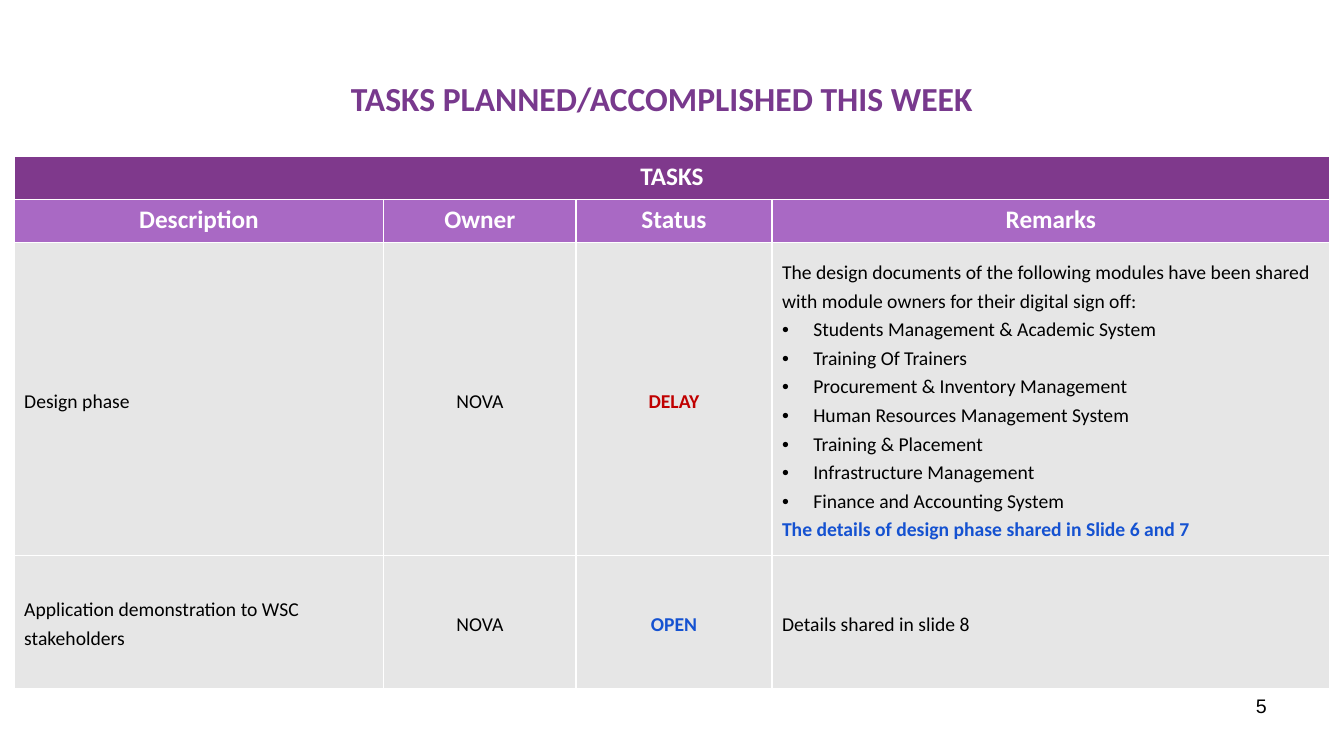
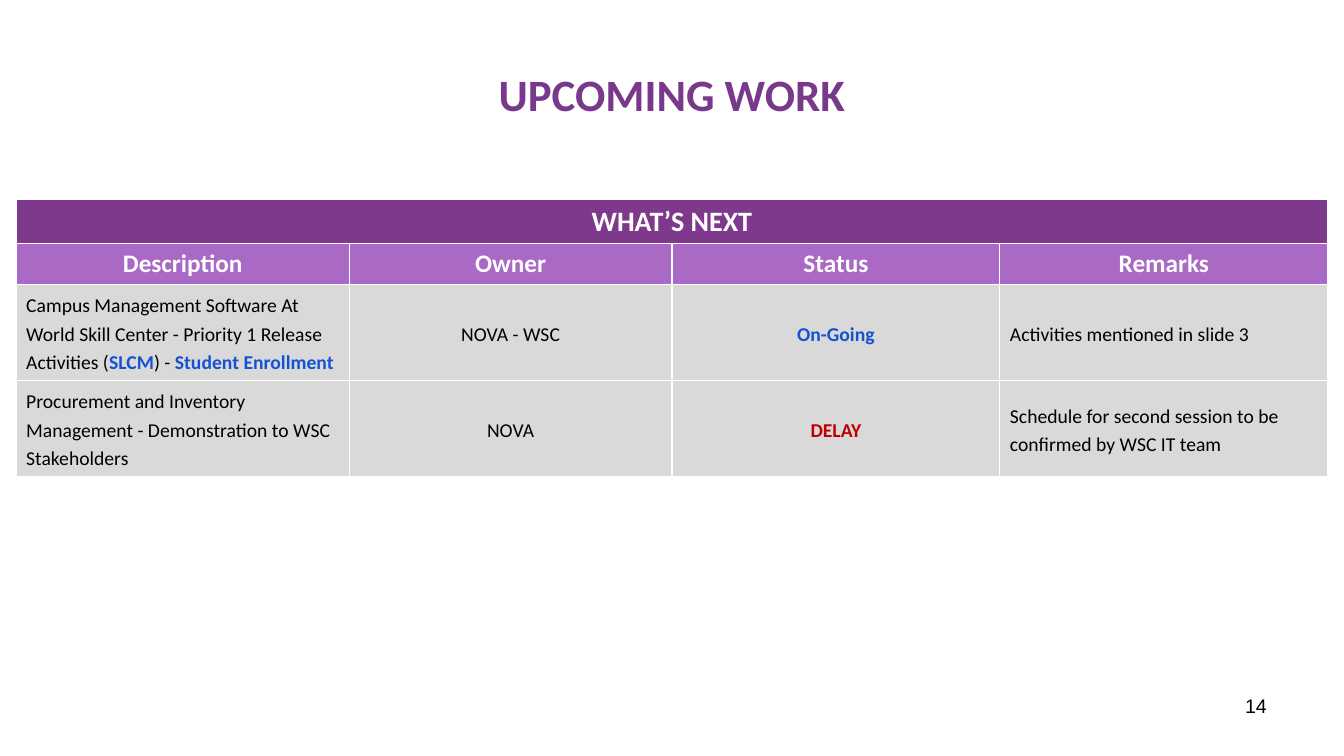
from lxml.etree import SubElement
from pptx import Presentation
from pptx.dml.color import RGBColor
from pptx.enum.text import MSO_ANCHOR, PP_ALIGN
from pptx.oxml.ns import qn
from pptx.util import Emu, Inches, Pt

WIDTH, HEIGHT = Inches(13.33), Inches(7.5)
COLORS = {
    "title": "78398D",
    "band": "7F398C",
    "heading": "A969C4",
    "white": "FFFFFF",
    "text": "000000",
    "blue": "1552D1",
    "red": "C00000",
    "light": "E6E6E6",
    "grey": "D9D9D9",
}
VENDOR = "NOVA"
HEADINGS = ["Description", "Owner", "Status", "Remarks"]
ALIGNMENTS = [PP_ALIGN.LEFT, PP_ALIGN.CENTER, PP_ALIGN.CENTER, PP_ALIGN.LEFT]
BULLET_INDENT = Inches(0.31)


def across(percent):
    return Emu(round(WIDTH * percent / 100))


def down(percent):
    return Emu(round(HEIGHT * percent / 100))


def color(name):
    return RGBColor.from_string(COLORS[name])


def add_run(paragraph, text, size, tone, bold=False, font="Calibri"):
    run = paragraph.add_run()
    run.text = text
    run.font.name = font
    run.font.size = Pt(size)
    run.font.bold = bold
    run.font.color.rgb = color(tone)


def add_label(slide, place, anchor, align, text, **style):
    left, top, width, height = place
    label = slide.shapes.add_textbox(across(left), down(top), across(width), down(height))
    frame = label.text_frame
    frame.word_wrap = True
    frame.vertical_anchor = anchor
    frame.paragraphs[0].alignment = align
    add_run(frame.paragraphs[0], text, **style)


def add_title(slide, text, size, left=5, top=4):
    add_label(slide, (left, top, 90, 16.7), MSO_ANCHOR.MIDDLE, PP_ALIGN.CENTER,
              text, size=size, tone="title", bold=True)


def add_number(slide, number):
    add_label(slide, (71.7, 91.1, 23.3, 7), MSO_ANCHOR.TOP, PP_ALIGN.RIGHT,
              str(number), size=14, tone="text", font="Arial")


def add_bullet(paragraph):
    properties = paragraph._p.get_or_add_pPr()
    properties.set("marL", str(BULLET_INDENT))
    properties.set("indent", str(-BULLET_INDENT))
    SubElement(properties, qn("a:buFont")).set("typeface", "Arial")
    SubElement(properties, qn("a:buChar")).set("char", "•")


def paint_cell(cell, fill):
    properties = cell._tc.get_or_add_tcPr()
    for side in ("lnL", "lnR", "lnT", "lnB"):
        border = SubElement(properties, qn(f"a:{side}"), w=str(Pt(1)))
        solid = SubElement(border, qn("a:solidFill"))
        SubElement(solid, qn("a:srgbClr"), val=COLORS["white"])
    cell.fill.solid()
    cell.fill.fore_color.rgb = color(fill)


def write_heading(cell, text, size):
    paragraph = cell.text_frame.paragraphs[0]
    paragraph.alignment = PP_ALIGN.CENTER
    add_run(paragraph, text, size, "white", bold=True)


def write_entry(cell, entry, align):
    cell.vertical_anchor = MSO_ANCHOR.MIDDLE
    frame = cell.text_frame
    for index, (bulleted, parts) in enumerate(entry):
        paragraph = frame.paragraphs[0] if index == 0 else frame.add_paragraph()
        paragraph.alignment = align
        paragraph.line_spacing = 1.2
        if bulleted:
            add_bullet(paragraph)
        for text, tone in parts:
            add_run(paragraph, text, 14, tone, bold=tone != "text")


def line(text, tone="text"):
    return False, [(text, tone)]


def bullet(text):
    return True, [(text, "text")]


def add_task_table(slide, place, columns, rows, band, band_size, fill, tasks):
    left, top, width = place
    table = slide.shapes.add_table(
        len(rows), len(columns), across(left), down(top), across(width), down(sum(rows))
    ).table
    for column, percent in zip(table.columns, columns):
        column.width = across(width * percent / 100)
    for row, percent in zip(table.rows, rows):
        row.height = down(percent)
    fills = ["band", "heading"] + [fill] * len(tasks)
    for row, row_fill in zip(table.rows, fills):
        for cell in row.cells:
            paint_cell(cell, row_fill)
    table.cell(0, 0).merge(table.cell(0, len(columns) - 1))
    write_heading(table.cell(0, 0), band, band_size)
    for index, heading in enumerate(HEADINGS):
        write_heading(table.cell(1, index), heading, 18)
    for row_index, task in enumerate(tasks, start=2):
        for index, entry in enumerate(task):
            write_entry(table.cell(row_index, index), entry, ALIGNMENTS[index])


def build_this_week(slide):
    modules = [
        "Students Management & Academic System",
        "Training Of Trainers",
        "Procurement & Inventory Management",
        "Human Resources Management System",
        "Training & Placement",
        "Infrastructure Management",
        "Finance and Accounting System",
    ]
    remarks = [
        line("The design documents of the following modules have been shared "
             "with module owners for their digital sign off:"),
        *map(bullet, modules),
        line("The details of design phase shared in Slide 6 and 7", "blue"),
    ]
    tasks = [
        [[line("Design phase")], [line(VENDOR)], [line("DELAY", "red")], remarks],
        [[line("Application demonstration to WSC stakeholders")], [line(VENDOR)],
         [line("OPEN", "blue")], [line("Details shared in slide 8")]],
    ]
    add_title(slide, "TASKS PLANNED/ACCOMPLISHED THIS WEEK", 24, left=4.25, top=4.6)
    add_number(slide, 5)
    add_task_table(slide, (1.05, 20.7, 97.9), [28.1, 14.6, 14.9, 42.4],
                   [5.7, 5.7, 41.4, 17.6], "TASKS", 18, "light", tasks)


def build_upcoming(slide):
    enrollment = (False, [
        ("Campus Management Software At World Skill Center - Priority 1 Release Activities (", "text"),
        ("SLCM", "blue"),
        (") - ", "text"),
        ("Student Enrollment", "blue"),
    ])
    tasks = [
        [[enrollment], [line(f"{VENDOR} - WSC")], [line("On-Going", "blue")],
         [line("Activities mentioned in slide 3")]],
        [[line("Procurement and Inventory Management - Demonstration to WSC Stakeholders")],
         [line(VENDOR)], [line("DELAY", "red")],
         [line("Schedule for second session to be confirmed by WSC IT team")]],
    ]
    add_title(slide, "UPCOMING WORK", 32)
    add_number(slide, 14)
    add_task_table(slide, (1.2, 26.4, 97.6), [25.4, 24.6, 25, 25],
                   [5.8, 5.4, 12.7, 12.7], "WHAT’S NEXT", 20, "grey", tasks)


def main():
    deck = Presentation()
    deck.slide_width, deck.slide_height = WIDTH, HEIGHT
    for build in (build_this_week, build_upcoming):
        build(deck.slides.add_slide(deck.slide_layouts[6]))
    deck.save("out.pptx")


if __name__ == "__main__":
    main()
